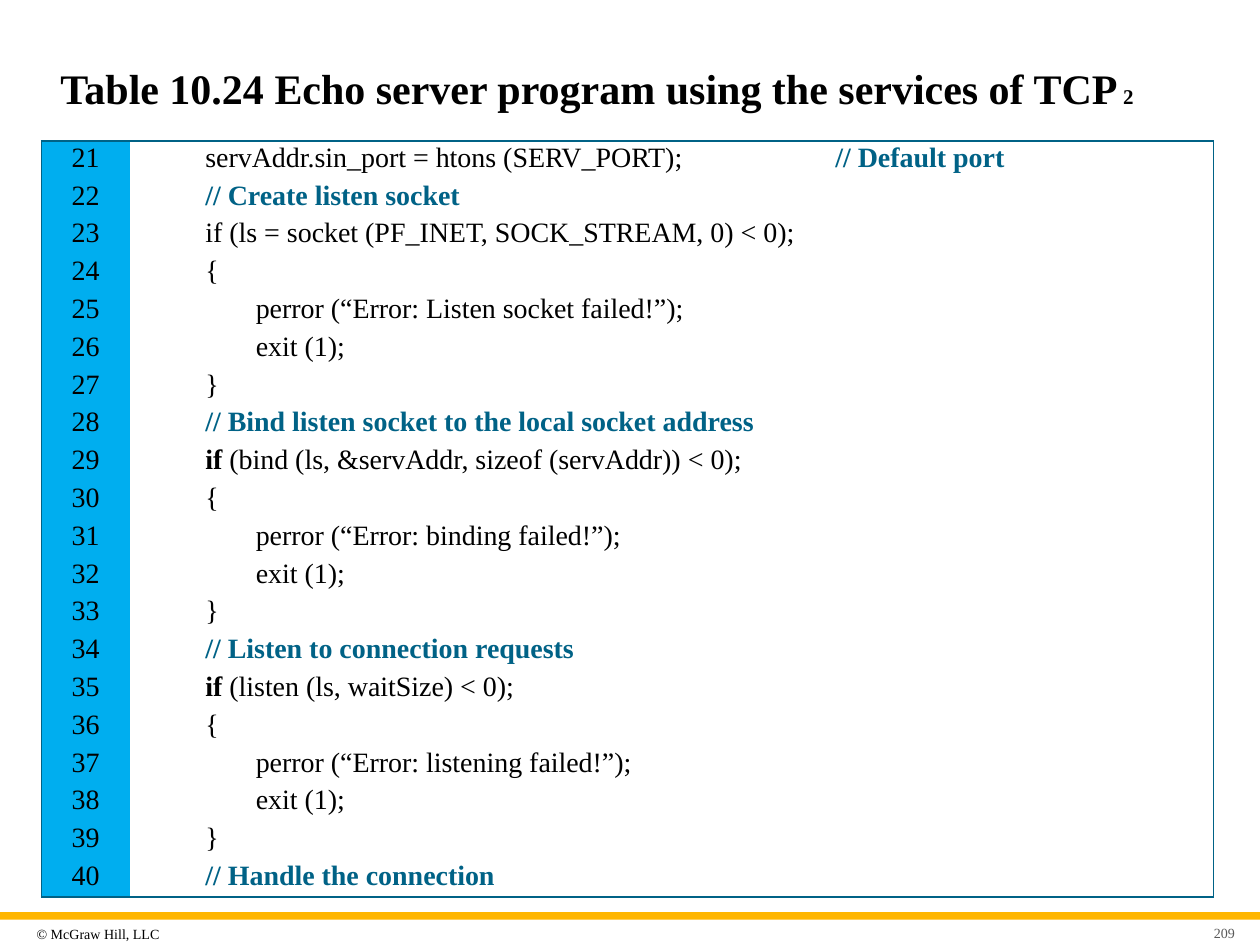
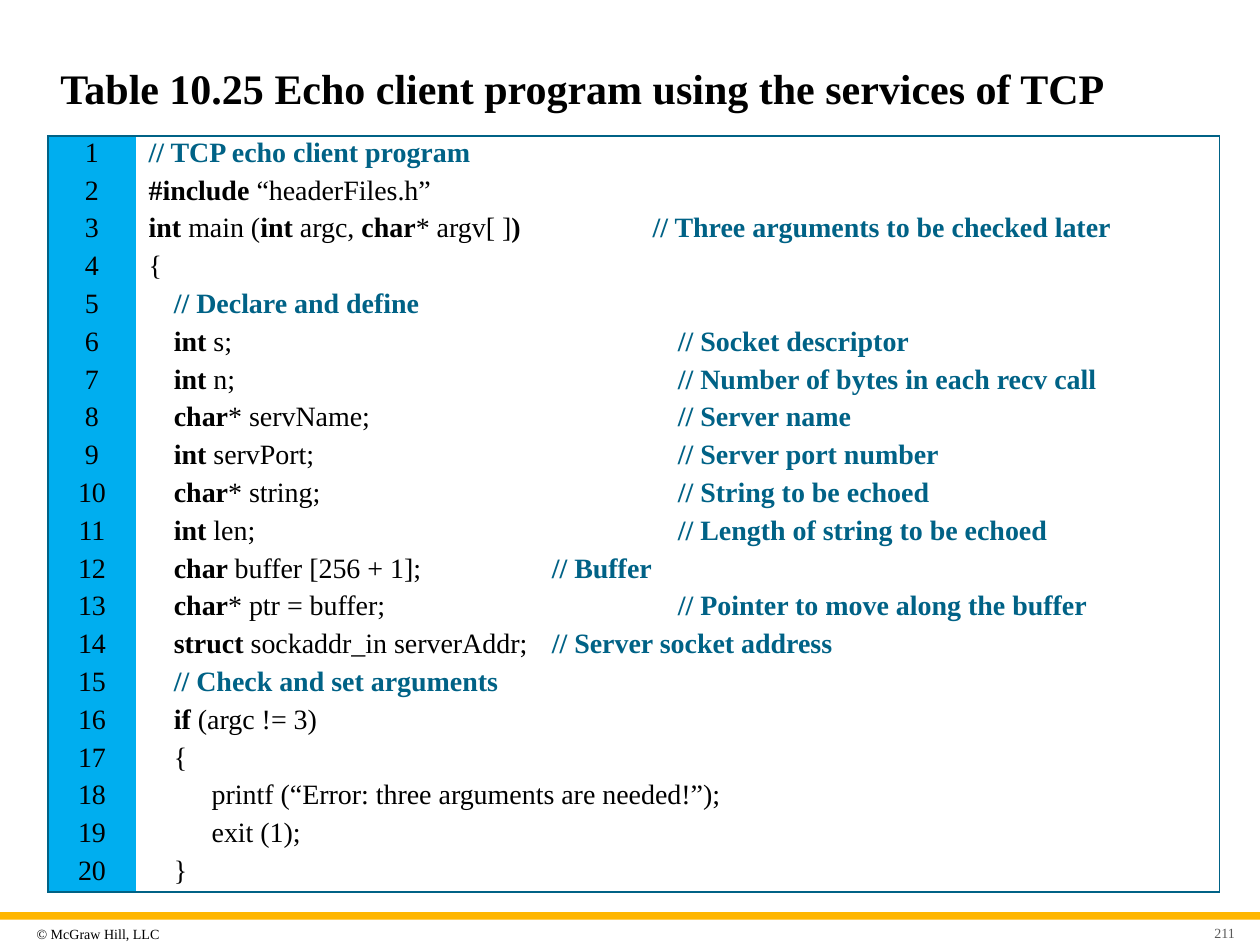
from dataclasses import dataclass

from lxml.etree import SubElement
from pptx import Presentation
from pptx.dml.color import RGBColor as Rgb
from pptx.enum.shapes import MSO_SHAPE as Preset
from pptx.enum.text import MSO_ANCHOR as Anchor, PP_ALIGN as Align
from pptx.oxml import parse_xml
from pptx.oxml.ns import nsdecls, qn
from pptx.util import Inches, Pt

COLUMNS, ROWS = 100, 75  # grid over the slide, one unit is a tenth of an inch


@dataclass(frozen=True)
class Theme:
    font: str = "Times New Roman"
    ink: str = "000000"
    comment: str = "006286"
    border: str = "006286"
    number_fill: str = "00AEEF"
    code_fill: str = "FFFFFF"
    band: str = "FFB600"
    page_number: str = "595959"
    title_size: int = 24
    part_size: int = 12
    code_size: int = 16
    footer_size: int = 8
    border_width: int = 1


THEME = Theme()

# Code lines: (indent in grid columns, text); "|" switches bold on and off,
# and everything from "//" on is a comment.
SERVER_LINES = [
    (5, "servAddr.sin_port = htons (SERV_PORT); \t\t// Default port"),
    (5, "// Create listen socket"),
    (5, "if (ls = socket (PF_INET, SOCK_STREAM, 0) < 0);"),
    (5, "{"),
    (9, "perror (“Error: Listen socket failed!”);"),
    (9, "exit (1);"),
    (5, "}"),
    (5, "// Bind listen socket to the local socket address"),
    (5, "|if| (bind (ls, &servAddr, sizeof (servAddr)) < 0);"),
    (5, "{"),
    (9, "perror (“Error: binding failed!”);"),
    (9, "exit (1);"),
    (5, "}"),
    (5, "// Listen to connection requests"),
    (5, "|if| (listen (ls, waitSize) < 0);"),
    (5, "{"),
    (9, "perror (“Error: listening failed!”);"),
    (9, "exit (1);"),
    (5, "}"),
    (5, "// Handle the connection"),
]

CLIENT_LINES = [
    (0, "// TCP echo client program"),
    (0, "|#include |“headerFiles.h”"),
    (0, "|int |main (|int |argc, |char|* argv[ ]|) \t// Three arguments to be checked later"),
    (0, "{"),
    (2, "// Declare and define"),
    (2, "|int |s;\t\t\t\t// Socket descriptor"),
    (2, "|int |n;\t\t\t\t// Number of bytes in each recv call"),
    (2, "|char|* servName;\t\t\t// Server name"),
    (2, "|int |servPort;\t\t\t// Server port number"),
    (2, "|char|* string;\t\t\t// String to be echoed"),
    (2, "|int |len;\t\t\t\t// Length of string to be echoed"),
    (2, "|char |buffer [256 + 1];\t\t// Buffer"),
    (2, "|char|* ptr = buffer;\t\t\t// Pointer to move along the buffer"),
    (2, "|struct |sockaddr_in serverAddr;\t// Server socket address"),
    (2, "// Check and set arguments"),
    (2, "|if |(argc != 3)"),
    (2, "{"),
    (5, "printf (“Error: three arguments are needed!”);"),
    (5, "exit (1);"),
    (2, "}"),
]


def grid(units):
    return Inches(units / 10)


def set_all(target, values):
    for name, value in values.items():
        setattr(target, name, value)


def add_run(paragraph, text, size, color=THEME.ink, bold=False):
    run = paragraph.add_run()
    run.text = text
    set_all(run.font, {"name": THEME.font, "size": Pt(size), "bold": bold})
    run.font.color.rgb = Rgb.from_string(color)


def add_text_box(slide, box, left_inset=1, inset=0.5, align=Align.LEFT):
    """Add a middle-anchored text box and return its first paragraph."""
    frame = slide.shapes.add_textbox(*map(grid, box)).text_frame
    set_all(frame, {
        "word_wrap": True, "vertical_anchor": Anchor.MIDDLE,
        "margin_left": grid(left_inset), "margin_right": grid(inset),
        "margin_top": grid(0.5), "margin_bottom": grid(0.5)})
    paragraph = frame.paragraphs[0]
    paragraph.alignment = align
    return paragraph


def draw_title(slide, box, title, part):
    paragraph = add_text_box(slide, box, inset=1)
    add_run(paragraph, title, THEME.title_size, bold=True)
    if part:
        add_run(paragraph, f" {part}", THEME.part_size, bold=True)


def draw_footer(slide, box, page):
    left, top, width, _ = box
    # Gold band
    band = slide.shapes.add_shape(Preset.RECTANGLE, *map(grid, (left, top, width, 0.6)))
    band.shadow.inherit = False
    band.fill.solid()
    band.fill.fore_color.rgb = Rgb.from_string(THEME.band)
    band.line.fill.background()
    # Copyright line and page number
    copyright_line = add_text_box(slide, (left + 2.4, top + 0.5, 13.5, 2.4), left_inset=0.5)
    add_run(copyright_line, "© McGraw Hill, LLC", THEME.footer_size)
    number = add_text_box(slide, (left + width - 5.4, top + 0.7, 3.9, 1.8), align=Align.RIGHT)
    add_run(number, str(page), THEME.footer_size, THEME.page_number)


def style_cell(cell, fill, outer_sides):
    """Fill a cell and draw its lines on the outer sides of the table only."""
    set_all(cell, {
        "margin_left": grid(1), "margin_right": grid(1),
        "margin_top": grid(0.1), "margin_bottom": grid(0.1),
        "vertical_anchor": Anchor.TOP})
    cell.fill.solid()
    cell.fill.fore_color.rgb = Rgb.from_string(fill)
    properties = cell._tc.get_or_add_tcPr()
    for position, side in enumerate("LRTB"):
        line = parse_xml(f'<a:ln{side} {nsdecls("a")} w="{Pt(THEME.border_width)}"/>')
        if side in outer_sides:
            paint = SubElement(line, qn("a:solidFill"))
            SubElement(paint, qn("a:srgbClr"), val=THEME.border)
        else:
            SubElement(line, qn("a:noFill"))
        properties.insert(position, line)


def write_code(paragraph, indent, text):
    properties = paragraph._p.get_or_add_pPr()
    for name, value in {"marL": grid(indent), "indent": 0, "defTabSz": grid(10)}.items():
        properties.set(name, str(value))
    code, slashes, comment = text.partition("//")
    for index, piece in enumerate(code.split("|")):
        if piece:
            add_run(paragraph, piece, THEME.code_size, bold=index % 2 == 1)
    if slashes:
        add_run(paragraph, slashes + comment, THEME.code_size, THEME.comment, True)


def draw_listing(slide, box, first_number, lines):
    number_width = 7
    count, (_, _, width, height) = len(lines), box
    table = slide.shapes.add_table(count, 2, *map(grid, box)).table
    set_all(table, {"first_row": False, "horz_banding": False})
    table.columns[0].width = grid(number_width)
    table.columns[1].width = grid(width - number_width)
    for row, (indent, text) in enumerate(lines):
        table.rows[row].height = grid(height / count)
        edge = "T" * (row == 0) + "B" * (row == count - 1)
        # Line number
        number_cell = table.cell(row, 0)
        style_cell(number_cell, THEME.number_fill, "L" + edge)
        paragraph = number_cell.text_frame.paragraphs[0]
        paragraph.alignment = Align.CENTER
        add_run(paragraph, str(first_number + row), THEME.code_size)
        # Code line
        code_cell = table.cell(row, 1)
        style_cell(code_cell, THEME.code_fill, "R" + edge)
        write_code(code_cell.text_frame.paragraphs[0], indent, text)


def add_program_slide(presentation, title, part, page, corner, first_number, lines):
    slide = presentation.slides.add_slide(presentation.slide_layouts[6])
    draw_footer(slide, (0, 72.4, COLUMNS, 2.6), page)
    draw_title(slide, (3.8, 3.3, 92.5, 7.4), title, part)
    draw_listing(slide, (*corner, 93, 60), first_number, lines)


def main():
    presentation = Presentation()
    set_all(presentation, {"slide_width": grid(COLUMNS), "slide_height": grid(ROWS)})
    add_program_slide(
        presentation, "Table 10.24 Echo server program using the services of TCP", "2",
        209, (3.3, 11.2), 21, SERVER_LINES)
    add_program_slide(
        presentation, "Table 10.25 Echo client program using the services of TCP", "",
        211, (3.8, 10.8), 1, CLIENT_LINES)
    presentation.save("out.pptx")


if __name__ == "__main__":
    main()
